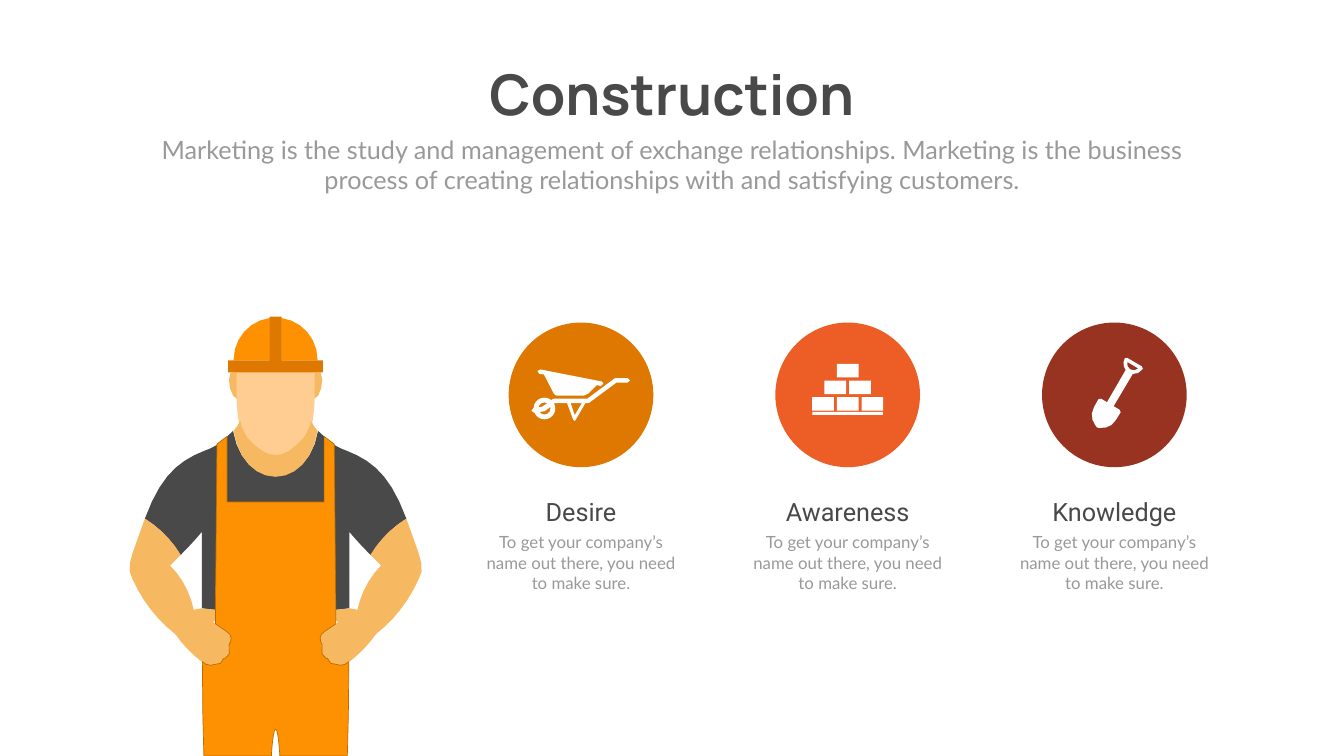
from dataclasses import dataclass
from math import dist, sqrt

from pptx import Presentation
from pptx.dml.color import RGBColor
from pptx.enum.shapes import MSO_SHAPE
from pptx.enum.text import MSO_ANCHOR, PP_ALIGN
from pptx.util import Inches, Pt

Point = tuple[float, float]

W, H = 26.66, 15
AXIS = 5.467                        # symmetry axis of the worker
COL_X, COL_STEP = 11.525, 5.29      # centre of the first column, column pitch
DISC = 2.87
SMOOTHNESS = 5                      # points on a curve one inch long

WHITE = RGBColor(0xFF, 0xFF, 0xFF)
DARK = RGBColor(0x49, 0x49, 0x49)
GRAY = RGBColor(0x99, 0x99, 0x99)
AMBER = RGBColor(0xDE, 0x78, 0x00)
CORAL = RGBColor(0xEC, 0x5E, 0x25)
BRICK_RED = RGBColor(0x98, 0x33, 0x21)
ORANGE = RGBColor(0xFE, 0x91, 0x01)
SEAM = RGBColor(0xBC, 0x6B, 0x01)
SKIN = RGBColor(0xF6, 0xB9, 0x61)
FACE = RGBColor(0xFF, 0xCD, 0x91)


@dataclass
class Style:
    font: str
    size: int
    color: RGBColor
    bold: bool = False


@dataclass
class Row:
    top: float
    width: float
    height: float
    style: Style


@dataclass
class Topic:
    name: str
    color: RGBColor


@dataclass
class Part:
    color: RGBColor
    outline: str
    paired: bool = False    # True: a left and a right piece; False: one piece across the axis


TITLE = Row(1.12, 7.78, 1.45, Style("Manrope", 80, DARK, True))
INTRO = Row(2.61, 20.82, 1.31, Style("Lato", 36, GRAY))
HEADING = Row(9.8, 3.26, 0.71, Style("Roboto", 36, DARK))
CAPTION = Row(10.51, 3.96, 1.31, Style("Lato", 24, GRAY))
TOPICS = [Topic("Desire", AMBER), Topic("Awareness", CORAL), Topic("Knowledge", BRICK_RED)]

# Right-hand halves of the worker, from back to front
BODY = [
    Part(ORANGE, "M 6.31 7.15 L 5.58 7.15 5.58 6.31 C 5.99 6.36 6.3 6.72 6.3 7.14", True),
    Part(DARK, "M 6.93 10.55 L 6.93 12.07 6.66 12.1 6.62 8.82 "
         "C 6.7 8.87 6.78 8.91 6.87 8.94 7.38 9.14 7.74 9.42 8.06 10.29 "
         "7.77 10.47 7.53 10.72 7.35 11.01 7.11 10.77 6.95 10.58 6.93 10.55", True),
    Part(DARK, "M 5.47 9.45 C 5.86 9.45 6.22 9.11 6.31 8.55 L 6.43 8.66 6.43 9.96 5.47 9.96"),
    Part(SKIN, "M 7.09 12.1 C 7.16 11.77 7.32 11.46 7.56 11.22 L 7.35 11.01 "
         "C 7.52 10.72 7.77 10.47 8.06 10.29 L 8.11 10.43 "
         "C 8.31 11.01 8.45 11.25 8.31 11.48 8.12 11.91 7.83 12.29 7.46 12.58 "
         "7.31 12.79 7.13 12.98 6.92 13.14 6.85 13.21 6.75 13.22 6.66 13.19 "
         "6.59 13.21 6.52 13.16 6.5 13.08 6.5 13.08 6.32 13.05 6.39 12.8 "
         "6.33 12.73 6.33 12.64 6.39 12.58 L 6.44 12.54 6.66 12.39 6.71 12.33 6.66 12.32 "
         "6.66 12.1 6.94 12.07", True),
    Part(SKIN, "M 6.36 7.39 C 6.44 7.54 6.36 7.9 6.21 7.93 L 6.21 7.39", True),
    Part(FACE, "M 5.47 7.38 L 6.24 7.38 6.24 7.94 C 6.24 8.08 6.22 8.22 6.2 8.36 "
         "6.17 8.49 6.12 8.61 6.04 8.71 5.83 8.94 5.65 9.05 5.47 9.05"),
    Part(SKIN, "M 5.47 9.46 C 5.86 9.46 6.21 9.12 6.3 8.55 6.25 8.49 6.2 8.42 6.17 8.35 "
         "6.15 8.47 6.09 8.59 6.02 8.69 5.81 8.92 5.64 9.03 5.47 9.03"),
]
OVERALLS = ("M 5.47 9.96 L 6.43 9.96 6.43 8.66 6.63 8.81 6.66 12.09 6.66 12.38 6.44 12.53 "
            "C 6.36 12.57 6.33 12.66 6.36 12.73 L 6.39 12.79 "
            "C 6.32 13.04 6.5 13.07 6.5 13.07 6.52 13.15 6.59 13.2 6.66 13.18 "
            "6.75 13.22 6.85 13.2 6.92 13.13 L 6.91 14.2 6.89 15 5.55 15 5.55 14.97 "
            "C 5.53 14.66 5.5 14.47 5.47 14.47")

# Icon outlines
BARROW_FRAME = ("M 12.45 7.5 L 12.22 7.5 12.19 7.51 11.65 7.91 10.99 7.91 10.96 7.92 10.8 8.04 "
                "10.75 8.07 10.58 8.1 C 10.55 8.1 10.54 8.13 10.54 8.15 10.55 8.17 10.57 8.19 10.6 8.19 "
                "L 10.8 8.16 10.86 8.12 11 8 11.25 8 11.37 8.33 11.4 8.35 11.42 8.33 11.61 8 "
                "11.66 8 11.69 7.99 12.23 7.59 12.45 7.59 "
                "C 12.48 7.59 12.5 7.57 12.5 7.55 12.5 7.52 12.48 7.5 12.45 7.5 "
                "M 11.4 8.24 L 11.32 8 11.54 8")
BARROW_TRAY = ("M 11.94 7.57 L 10.72 7.33 C 10.69 7.32 10.67 7.34 10.66 7.36 "
               "10.66 7.39 10.68 7.41 10.7 7.42 L 10.79 7.43 10.98 7.8 "
               "C 11 7.83 11.02 7.85 11.05 7.85 L 11.58 7.85 11.67 7.81 11.84 7.64 11.92 7.66 "
               "C 11.95 7.66 11.97 7.64 11.97 7.61 11.97 7.59 11.96 7.57 11.94 7.57")
SHOVEL = ("M 22.36 7.18 C 22.35 7.24 22.37 7.3 22.42 7.33 22.48 7.36 22.54 7.35 22.58 7.31 "
          "M 22.36 7.1 L 22.65 7.27 22.67 7.32 C 22.62 7.39 22.54 7.43 22.47 7.42 "
          "L 22.09 8.06 22.21 8.13 22.23 8.18 22.13 8.34 "
          "C 22.07 8.45 21.93 8.51 21.8 8.49 L 21.76 8.48 21.73 8.44 "
          "C 21.65 8.34 21.63 8.2 21.7 8.08 L 21.79 7.92 21.84 7.91 "
          "21.96 7.98 22.33 7.34 C 22.28 7.28 22.27 7.19 22.31 7.11 L 22.36 7.1")


def sample(ctrl: list[Point]) -> list[Point]:
    """Points along a cubic curve; short curves get fewer."""
    length = sum(dist(a, b) for a, b in zip(ctrl, ctrl[1:]))
    steps = max(1, round(SMOOTHNESS * sqrt(length)))
    pts = []
    for k in range(1, steps + 1):
        t = k / steps
        weights = ((1 - t) ** 3, 3 * t * (1 - t) ** 2, 3 * t * t * (1 - t), t ** 3)
        pts.append((sum(w * c[0] for w, c in zip(weights, ctrl)),
                    sum(w * c[1] for w, c in zip(weights, ctrl))))
    return pts


def trace(outline: str) -> list[list[Point]]:
    """Turn M, L and C commands into contours."""
    contours: list[list[Point]] = []
    for command in outline.replace("M", "|M").replace("L", "|L").replace("C", "|C").split("|")[1:]:
        n = [float(v) for v in command[1:].split()]
        pts = list(zip(n[::2], n[1::2]))
        if command[0] == "M":
            contours.append(pts)
        elif command[0] == "L":
            contours[-1] += pts
        else:
            for i in range(0, len(pts), 3):
                contours[-1] += sample([contours[-1][-1], *pts[i:i + 3]])
    return contours


def mirror(pts: list[Point]) -> list[Point]:
    return [(2 * AXIS - x, y) for x, y in reversed(pts)]


def paint(sp, color: RGBColor, line: RGBColor | None = None) -> None:
    sp.shadow.inherit = False
    sp.fill.solid()
    sp.fill.fore_color.rgb = color
    if line is None:
        sp.line.fill.background()
    else:
        sp.line.color.rgb = line
        sp.line.width = Pt(1)


def draw(s, contours: list[list[Point]], color: RGBColor, line: RGBColor | None = None) -> None:
    emu = [[(Inches(x), Inches(y)) for x, y in pts] for pts in contours]
    fb = s.shapes.build_freeform(*emu[0][0])
    for i, pts in enumerate(emu):
        if i:
            fb.move_to(*pts[0])
        fb.add_line_segments(pts[1:], close=True)
    paint(fb.convert_to_shape(), color, line)


def preset(s, kind: MSO_SHAPE, cx: float, top: float, w: float, h: float, color: RGBColor):
    sp = s.shapes.add_shape(kind, Inches(cx - w / 2), Inches(top), Inches(w), Inches(h))
    paint(sp, color)
    return sp


def write(sp, text: str, cx: float, row: Row, wrap: bool = True) -> None:
    sp.left, sp.top = Inches(cx - row.width / 2), Inches(row.top)
    sp.width, sp.height = Inches(row.width), Inches(row.height)
    tf = sp.text_frame
    tf.text = text
    tf.word_wrap = wrap
    p = tf.paragraphs[0]
    p.alignment = PP_ALIGN.CENTER
    font = p.runs[0].font
    font.name, font.size, font.bold = row.style.font, Pt(row.style.size), row.style.bold
    font.color.rgb = row.style.color


def add_text(s, text: str, cx: float, row: Row) -> None:
    write(s.shapes.add_textbox(0, 0, 0, 0), text, cx, row)


def rect(x: float, y: float, w: float, h: float) -> list[Point]:
    return [(x, y), (x + w, y), (x + w, y + h), (x, y + h)]


def add_bricks(s, cx: float) -> None:
    w, h, dx, dy = 0.43, 0.27, 0.49, 0.33
    wall = [rect(cx + (i - row / 2) * dx - w / 2, 7.22 + row * dy, w, h)
            for row in range(3) for i in range(row + 1)]
    draw(s, wall + [rect(cx - 0.7, 8.17, 1.4, 0.06)], WHITE)


def add_worker(s) -> None:
    for part in BODY:
        half = trace(part.outline)[0]
        if part.paired:
            draw(s, [half], part.color)
            draw(s, [mirror(half)], part.color)
        else:
            draw(s, [half + mirror(half)], part.color)
    # Helmet brim and ridge
    preset(s, MSO_SHAPE.RECTANGLE, AXIS, 7.15, 1.88, 0.24, AMBER)
    preset(s, MSO_SHAPE.RECTANGLE, AXIS, 6.28, 0.24, 1.01, AMBER)
    half = trace(OVERALLS)[0]
    draw(s, [half + mirror(half)], ORANGE, SEAM)


def main() -> None:
    prs = Presentation()
    prs.slide_width, prs.slide_height = Inches(W), Inches(H)
    s = prs.slides.add_slide(prs.slide_layouts[5])

    # Title and introduction
    write(s.shapes.title, "Construction", W / 2, TITLE, wrap=False)
    s.shapes.title.text_frame.vertical_anchor = MSO_ANCHOR.MIDDLE
    add_text(s, "Marketing is the study and management of exchange relationships. Marketing is "
             "the business process of creating relationships with and satisfying customers.",
             W / 2, INTRO)

    # Topic columns
    centres = [COL_X + i * COL_STEP for i in range(len(TOPICS))]
    for cx, topic in zip(centres, TOPICS):
        preset(s, MSO_SHAPE.OVAL, cx, 6.4, DISC, DISC, topic.color)
        add_text(s, "To get your company’s name out there, you need to make sure.", cx, CAPTION)
        add_text(s, topic.name, cx, HEADING)

    add_worker(s)

    # Icons
    wheel = preset(s, MSO_SHAPE.DONUT, 10.8, 7.89, 0.43, 0.43, WHITE)
    wheel.adjustments[0] = 0.22
    for outline in (BARROW_FRAME, BARROW_TRAY, SHOVEL):
        draw(s, trace(outline), WHITE)
    add_bricks(s, centres[1])

    prs.save("out.pptx")


if __name__ == "__main__":
    main()
